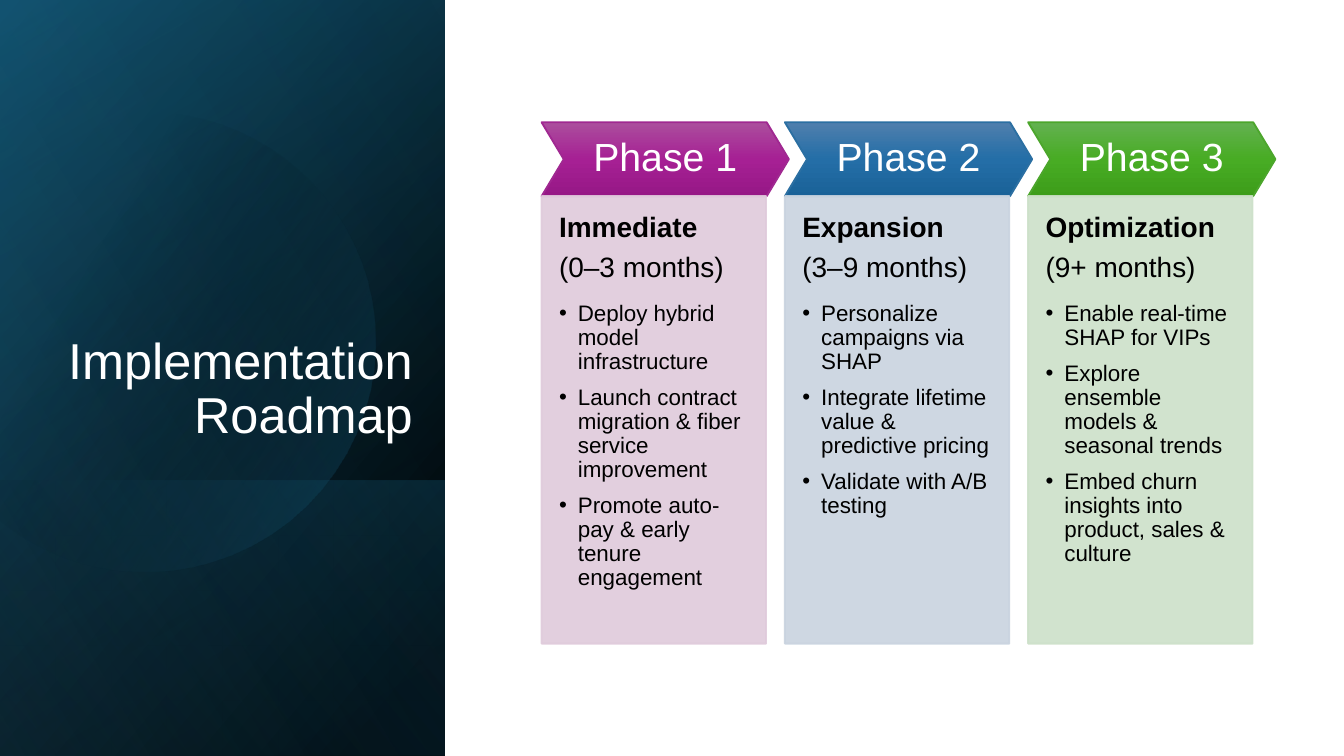
from lxml import etree
from pptx import Presentation
from pptx.dml.color import RGBColor
from pptx.enum.shapes import MSO_SHAPE
from pptx.enum.text import MSO_ANCHOR, PP_ALIGN
from pptx.oxml.ns import qn
from pptx.util import Inches, Pt

RECTANGLE, CHEVRON = MSO_SHAPE.RECTANGLE, MSO_SHAPE.CHEVRON
TOP, MIDDLE, BOTTOM = MSO_ANCHOR.TOP, MSO_ANCHOR.MIDDLE, MSO_ANCHOR.BOTTOM
LEFT, CENTER, RIGHT = PP_ALIGN.LEFT, PP_ALIGN.CENTER, PP_ALIGN.RIGHT

SLIDE_W = 10
SLIDE_H = SLIDE_W * 9 / 16
FONT = "Arial"
COLORS = {"black": "000000", "white": "FFFFFF", "navy": "0F4861",
          "teal": "156082", "sky": "43AFE2"}

PHASES = [
    {"name": "Phase 1", "goal": "Immediate", "period": "(0–3 months)",
     "steps": ["Deploy hybrid model infrastructure",
               "Launch contract migration & fiber service improvement",
               "Promote auto-pay & early tenure engagement"],
     "shades": ("AB4E9D", "A62094", "961886"), "edge": "A02891", "body": "DFCADB"},
    {"name": "Phase 2", "goal": "Expansion", "period": "(3–9 months)",
     "steps": ["Personalize campaigns via SHAP",
               "Integrate lifetime value & predictive pricing",
               "Validate with A/B testing"],
     "shades": ("4F7FAD", "246EA7", "1A6298"), "edge": "2B6FA2", "body": "C9D3DF"},
    {"name": "Phase 3", "goal": "Optimization", "period": "(9+ months)",
     "steps": ["Enable real-time SHAP for VIPs",
               "Explore ensemble models & seasonal trends",
               "Embed churn insights into product, sales & culture"],
     "shades": ("63B150", "48AC24", "3D9D1A"), "edge": "4CA62C", "body": "CDE0C9"},
]

# Outline of the round glow: a start point, cubic curves, then straight edges
GLOW_START = (1.11, 0.83)
GLOW_CURVES = [
    ((1.85, 0.84), (2.51, 1.33), (2.73, 2.07)),
    ((2.99, 2.98), (2.46, 3.93), (1.55, 4.19)),
    ((0.98, 4.35), (0.40, 4.21), (-0.02, 3.86)),
]
GLOW_EDGES = [(-0.11, 3.77), (-0.11, 1.31), (0, 1.21)]
GLOW_CLOSING = [
    ((0.17, 1.07), (0.38, 0.96), (0.60, 0.89)),
    ((0.77, 0.84), (0.95, 0.82), GLOW_START),
]


def set_alpha(color_parent, opacity):
    color = color_parent.find(".//" + qn("a:srgbClr"))
    etree.SubElement(color, qn("a:alpha")).set("val", str(opacity * 1000))


def fill_gradient(shape, stops, angle):
    """Stops are (position %, hex colour, opacity %)."""
    shape.fill.solid()
    properties = shape._element.spPr
    gradient = etree.Element(qn("a:gradFill"), rotWithShape="1")
    stop_list = etree.SubElement(gradient, qn("a:gsLst"))
    for position, color, opacity in stops:
        stop = etree.SubElement(stop_list, qn("a:gs"), pos=str(position * 1000))
        etree.SubElement(stop, qn("a:srgbClr"), val=color)
        if opacity < 100:
            set_alpha(stop, opacity)
    etree.SubElement(gradient, qn("a:lin"), ang=str(angle * 60000), scaled="0")
    properties.replace(properties.find(qn("a:solidFill")), gradient)


def add_box(slide, kind, box):
    shape = slide.shapes.add_shape(kind, *map(Inches, box))
    shape.shadow.inherit = False
    return shape


def set_frame(frame, insets, anchor):
    frame.word_wrap = True
    frame.vertical_anchor = anchor
    (frame.margin_left, frame.margin_top,
     frame.margin_right, frame.margin_bottom) = map(Inches, insets)


def write(paragraph, text, *, size, color="black", bold=False, align=LEFT,
          before=0, bullet=False):
    paragraph.alignment = align
    paragraph.line_spacing = 0.9
    paragraph.space_before = Pt(before)
    run = paragraph.add_run()
    run.text = text
    run.font.name, run.font.size, run.font.bold = FONT, Pt(size), bold
    run.font.color.rgb = RGBColor.from_string(COLORS[color])
    if bullet:
        paragraph.level = 1
        properties = paragraph._p.get_or_add_pPr()
        properties.set("marL", str(Inches(0.14)))
        properties.set("indent", str(-Inches(0.14)))
        etree.SubElement(properties, qn("a:buFont"), typeface=FONT)
        etree.SubElement(properties, qn("a:buChar"), char="•")


def add_turned_layer(slide, box, stops, angle):
    """A mirrored rectangle, turned a quarter, that covers the given box."""
    left, top, width, height = box
    shift = (width - height) / 2
    layer = add_box(slide, RECTANGLE, (left + shift, top - shift, height, width))
    layer.rotation = 90
    layer._element.spPr.find(qn("a:xfrm")).set("flipH", "1")
    layer.line.fill.background()
    fill_gradient(layer, stops, angle)


def curve_points(start, controls, steps=16):
    first, second, end = controls
    for step in range(1, steps + 1):
        t = step / steps
        u = 1 - t
        yield tuple(u**3 * a + 3 * u * u * t * b + 3 * u * t * t * c + t**3 * d
                    for a, b, c, d in zip(start, first, second, end))


def add_glow(slide, left, top):
    points = [GLOW_START]
    for curve in GLOW_CURVES:
        points.extend(curve_points(points[-1], curve))
    points.extend(GLOW_EDGES)
    for curve in GLOW_CLOSING:
        points.extend(curve_points(points[-1], curve))
    points = [(Inches(left + x), Inches(top + y)) for x, y in points]
    outline = slide.shapes.build_freeform(*points[0])
    outline.add_line_segments(points[1:], close=True)
    glow = outline.convert_to_shape()
    glow.shadow.inherit = False
    glow.line.fill.background()
    fill_gradient(glow, [(0, COLORS["black"], 0), (29, COLORS["black"], 0),
                         (100, COLORS["teal"], 43)], 30)


def add_title_panel(slide, box):
    left, top, width, height = box
    black, navy, teal, sky = (COLORS[key] for key in ("black", "navy", "teal", "sky"))
    # Layered background
    add_turned_layer(slide, box, [(0, black, 100), (8, black, 100), (100, navy, 100)], 50)
    add_turned_layer(slide, box, [(0, black, 0), (99, teal, 46), (100, teal, 46)], 30)
    add_turned_layer(slide, (left, top + height - 2.05, width, 2.05),
                     [(0, teal, 29), (2, teal, 29), (100, black, 30)], 130)
    add_glow(slide, left, top)
    add_turned_layer(slide, box, [(0, black, 0), (99, sky, 11), (100, sky, 11)], 120)
    # Title
    title = slide.shapes.add_textbox(Inches(left + 0.22), Inches(top + 1.38),
                                     Inches(2.92), Inches(1.97))
    set_frame(title.text_frame, (0.07, 0.04, 0.07, 0.04), BOTTOM)
    write(title.text_frame.paragraphs[0], "Implementation Roadmap",
          size=27, color="white", align=RIGHT)


def add_phase(slide, box, phase):
    left, top, width, height = box
    header_h, tip = 0.55, 0.17
    # Chevron header
    header = add_box(slide, CHEVRON, (left, top, width + tip, header_h))
    header.adjustments[0] = 0.3
    fill_gradient(header, [(position, shade, 100) for position, shade
                           in zip((0, 50, 100), phase["shades"])], 90)
    header.line.color.rgb = RGBColor.from_string(phase["edge"])
    header.line.width = Pt(1)
    set_frame(header.text_frame, (0.07,) * 4, MIDDLE)
    write(header.text_frame.paragraphs[0], phase["name"],
          size=21, color="white", align=CENTER)
    # Body with goal, period and steps
    body = add_box(slide, RECTANGLE, (left, top + header_h, width, height - header_h))
    body.fill.solid()
    body.line.width = Pt(1)
    for target in (body.fill.fore_color, body.line.color):
        target.rgb = RGBColor.from_string(phase["body"])
    properties = body._element.spPr
    for tag in ("a:solidFill", "a:ln"):
        set_alpha(properties.find(qn(tag)), 90)
    frame = body.text_frame
    set_frame(frame, (0.13, 0.13, 0.13, 0.26), TOP)
    write(frame.paragraphs[0], phase["goal"], size=15, bold=True)
    write(frame.add_paragraph(), phase["period"], size=15, before=5)
    for index, step in enumerate(phase["steps"]):
        write(frame.add_paragraph(), step, size=12, bullet=True,
              before=6 if index else 10)


def add_roadmap(slide, box):
    left, top, width, height = box
    gap = 0.14
    column_w = (width - gap * (len(PHASES) - 1)) / len(PHASES)
    for index, phase in enumerate(PHASES):
        add_phase(slide, (left + index * (column_w + gap), top, column_w, height), phase)


def main():
    deck = Presentation()
    deck.slide_width, deck.slide_height = Inches(SLIDE_W), Inches(SLIDE_H)
    slide = deck.slides.add_slide(deck.slide_layouts[6])
    add_title_panel(slide, (0, 0, 3.31, SLIDE_H))
    add_roadmap(slide, (4.03, 0.91, 5.29, 3.88))
    deck.save("out.pptx")


if __name__ == "__main__":
    main()
